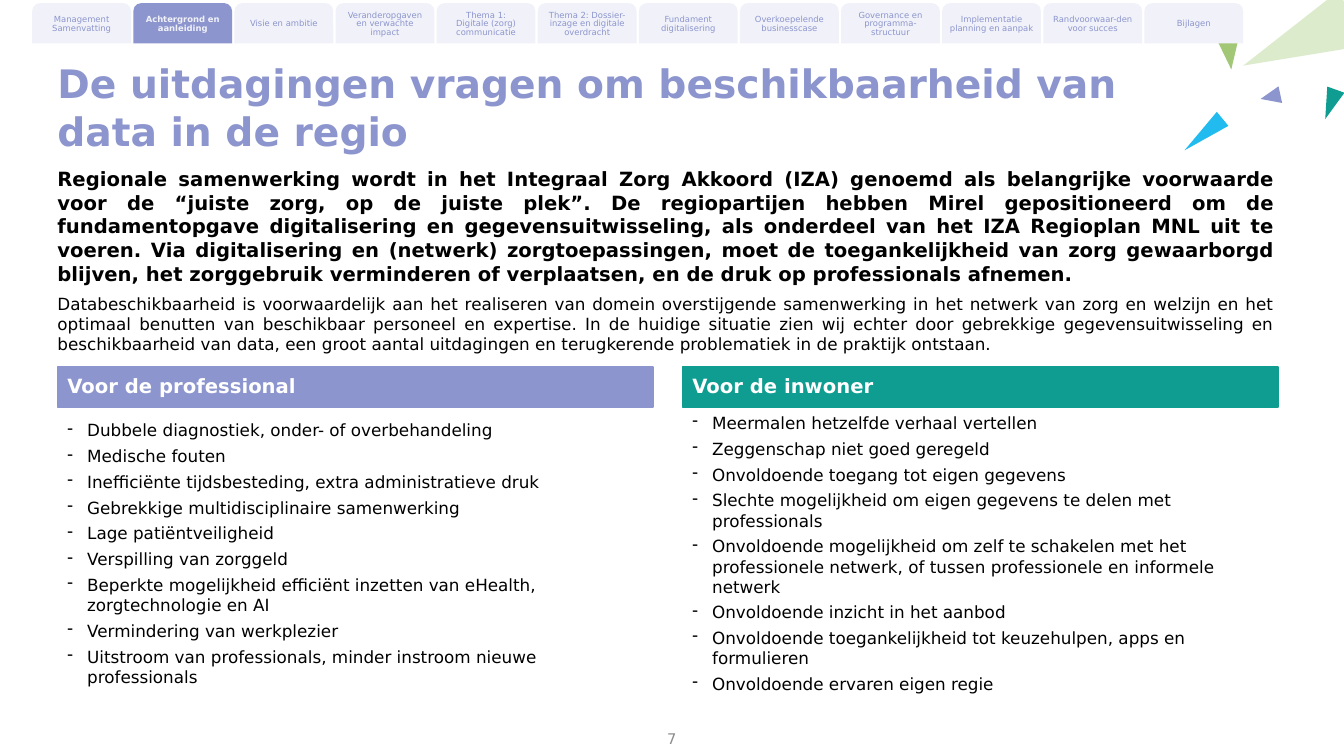
from lxml import etree
from pptx import Presentation
from pptx import util as u
from pptx.dml.color import RGBColor
from pptx.enum import shapes, text
from pptx.oxml import ns

FONT = "DejaVu Sans"
COLORS = {
    "purple": "8C95CD", "teal": "0E9D90", "green": "A2C877", "blue": "21BBEF",
    "tab": "F1F2F9", "white": "FFFFFF", "black": "000000", "grey": "8C8C8C",
}
MSO = shapes.MSO_SHAPE
ALIGN = text.PP_ALIGN
MIDDLE = text.MSO_ANCHOR.MIDDLE

TABS = [
    "Management Samenvatting",
    "Achtergrond en aanleiding",
    "Visie en ambitie",
    "Veranderopgaven en verwachte impact",
    "Thema 1:\nDigitale (zorg) communicatie",
    "Thema 2: Dossier-inzage en digitale overdracht",
    "Fundament digitalisering",
    "Overkoepelende businesscase",
    "Governance en programma-structuur",
    "Implementatie planning en aanpak",
    "Randvoorwaar-den voor succes",
    "Bijlagen",
]
ACTIVE_TAB = "Achtergrond en aanleiding"

TRIANGLES = [
    (905, -12.2, 43.2, 84.2, 246.3, "green", 36),
    (866.2, 17.3, 23, 32.4, 173.7, "green", 100),
    (853.2, 78.5, 13, 35.3, 230.5, "blue", 100),
    (943.9, 63.4, 13, 22.3, 199.9, "teal", 100),
    (907.9, 43.9, 18.7, 36.7, 218, "white", 100),
    (901.4, 61.9, 12.2, 14.4, 257.8, "purple", 100),
]

TITLE = "De uitdagingen vragen om beschikbaarheid van data in de regio"
INTRO = (
    "Regionale samenwerking wordt in het Integraal Zorg Akkoord (IZA) genoemd als "
    "belangrijke voorwaarde voor de “juiste zorg, op de juiste plek”. De regiopartijen "
    "hebben Mirel gepositioneerd om de fundamentopgave digitalisering en "
    "gegevensuitwisseling, als onderdeel van het IZA Regioplan MNL uit te voeren. Via "
    "digitalisering en (netwerk) zorgtoepassingen, moet de toegankelijkheid van zorg "
    "gewaarborgd blijven, het zorggebruik verminderen of verplaatsen, en de druk op "
    "professionals afnemen."
)
CONTEXT = (
    "Databeschikbaarheid is voorwaardelijk aan het realiseren van domein overstijgende "
    "samenwerking in het netwerk van zorg en welzijn en het optimaal benutten van "
    "beschikbaar personeel en expertise. In de huidige situatie zien wij echter door "
    "gebrekkige gegevensuitwisseling en beschikbaarheid van data, een groot aantal "
    "uitdagingen en terugkerende problematiek in de praktijk ontstaan."
)

COLUMNS = [
    (41, "purple", "Voor de professional", [
        "Dubbele diagnostiek, onder- of overbehandeling",
        "Medische fouten",
        "Inefficiënte tijdsbesteding, extra administratieve druk",
        "Gebrekkige multidisciplinaire samenwerking",
        "Lage patiëntveiligheid",
        "Verspilling van zorggeld",
        "Beperkte mogelijkheid efficiënt inzetten van eHealth, zorgtechnologie en AI",
        "Vermindering van werkplezier",
        "Uitstroom van professionals, minder instroom nieuwe professionals",
    ]),
    (487.4, "teal", "Voor de inwoner", [
        "Meermalen hetzelfde verhaal vertellen",
        "Zeggenschap niet goed geregeld",
        "Onvoldoende toegang tot eigen gegevens",
        "Slechte mogelijkheid om eigen gegevens te delen met professionals",
        "Onvoldoende mogelijkheid om zelf te schakelen met het professionele netwerk, "
        "of tussen professionele en informele netwerk",
        "Onvoldoende inzicht in het aanbod",
        "Onvoldoende toegankelijkheid tot keuzehulpen, apps en formulieren",
        "Onvoldoende ervaren eigen regie",
    ]),
]
COLUMN_WIDTH = 425.5


def rgb(name):
    return RGBColor.from_string(COLORS[name])


def box(*lengths):
    return [u.Pt(n) for n in lengths]


def place(sp, *lengths):
    sp.left, sp.top, sp.width, sp.height = box(*lengths)


def style(p, size, color, bold=False, align=ALIGN.LEFT):
    p.alignment = align
    for r in p.runs:
        r.font.name = FONT
        r.font.size = u.Pt(size)
        r.font.bold = bold
        r.font.color.rgb = rgb(color)


def set_margins(tf, x, y):
    tf.margin_left = tf.margin_right = u.Pt(x)
    tf.margin_top = tf.margin_bottom = u.Pt(y)


def set_bullet(p, char=None, indent=0):
    pPr = p._p.get_or_add_pPr()
    pPr.set("marL", str(u.Pt(indent)))
    pPr.set("indent", str(-u.Pt(indent)))
    bu = etree.SubElement(pPr, ns.qn("a:buChar" if char else "a:buNone"))
    if char:
        bu.set("char", char)


def add_filled(s, kind, lengths, color, line=False):
    sp = s.shapes.add_shape(kind, *box(*lengths))
    sp.shadow.inherit = False
    sp.fill.solid()
    sp.fill.fore_color.rgb = rgb(color)
    if line:
        sp.line.color.rgb = rgb(color)
        sp.line.width = u.Pt(1)
    else:
        sp.line.fill.background()
    sp.text_frame.word_wrap = True
    sp.text_frame.vertical_anchor = MIDDLE
    return sp


def add_textbox(s, lengths, content):
    tf = s.shapes.add_textbox(*box(*lengths)).text_frame
    tf.word_wrap = True
    tf.vertical_anchor = MIDDLE
    tf.text = content
    return tf


def add_triangle(s, x, y, w, h, angle, color, opacity):
    sp = add_filled(s, MSO.ISOSCELES_TRIANGLE, (x, y, w, h), color, color == "white")
    sp.rotation = angle
    if opacity < 100:
        clr = sp.fill._xPr.find(".//" + ns.qn("a:srgbClr"))
        etree.SubElement(clr, ns.qn("a:alpha")).set("val", str(opacity * 1000))


def add_tab(s, i, label):
    active = label == ACTIVE_TAB
    sp = add_filled(s, MSO.ROUND_2_SAME_RECTANGLE, (23 + 72.22 * i, 2.2, 70.6, 28.8),
                    "purple" if active else "tab")
    sp.adjustments[0] = 0.2
    sp.adjustments[1] = 0
    tf = sp.text_frame
    set_margins(tf, 2.9, 3.6)
    tf.text = label
    for p in tf.paragraphs:
        p.line_spacing = u.Pt(6)
        style(p, 6, "tab" if active else "purple", active, ALIGN.CENTER)


def add_list(s, x, items):
    tf = add_textbox(s, (x, 290.2, COLUMN_WIDTH, 210.2), "\n".join(items))
    for p in tf.paragraphs:
        set_bullet(p, "-", 14.2)
        p.space_after = u.Pt(4)
        style(p, 12, "black")


def add_heading(s, x, color, label):
    sp = add_filled(s, MSO.RECTANGLE, (x, 262.1, COLUMN_WIDTH, 28.8), color, True)
    sp.text_frame.text = label
    p = sp.text_frame.paragraphs[0]
    p.line_spacing = 0.9
    style(p, 14, "white", True)


def fill_title(sp):
    place(sp, 33.8, 36.7, 839.5, 79.2)
    tf = sp.text_frame
    tf.auto_size = text.MSO_AUTO_SIZE.NONE
    tf.vertical_anchor = MIDDLE
    tf.text = TITLE
    style(tf.paragraphs[0], 28, "purple", True)


def fill_body(sp):
    place(sp, 33.8, 115.9, 884.2, 369.4)
    tf = sp.text_frame
    tf.auto_size = text.MSO_AUTO_SIZE.NONE
    tf.text = "\n".join([INTRO, CONTEXT])
    for p, size, bold in zip(tf.paragraphs, (14, 12), (True, False)):
        set_bullet(p)
        p.space_before = u.Pt(0)
        p.space_after = u.Pt(6)
        style(p, size, "black", bold, ALIGN.JUSTIFY)


def main():
    prs = Presentation()
    prs.slide_width, prs.slide_height = box(960, 540)
    s = prs.slides.add_slide(prs.slide_layouts[1])
    for triangle in TRIANGLES:
        add_triangle(s, *triangle)
    fill_title(s.shapes.title)
    fill_body(s.placeholders[1])
    for x, color, label, items in COLUMNS:
        add_list(s, x, items)
        add_heading(s, x, color, label)
    tf = add_textbox(s, (468.7, 516.2, 22.3, 22.3), "7")
    set_margins(tf, 0, 0)
    style(tf.paragraphs[0], 10.5, "grey", align=ALIGN.CENTER)
    for i, label in enumerate(TABS):
        add_tab(s, i, label)
    prs.save("out.pptx")


if __name__ == "__main__":
    main()
